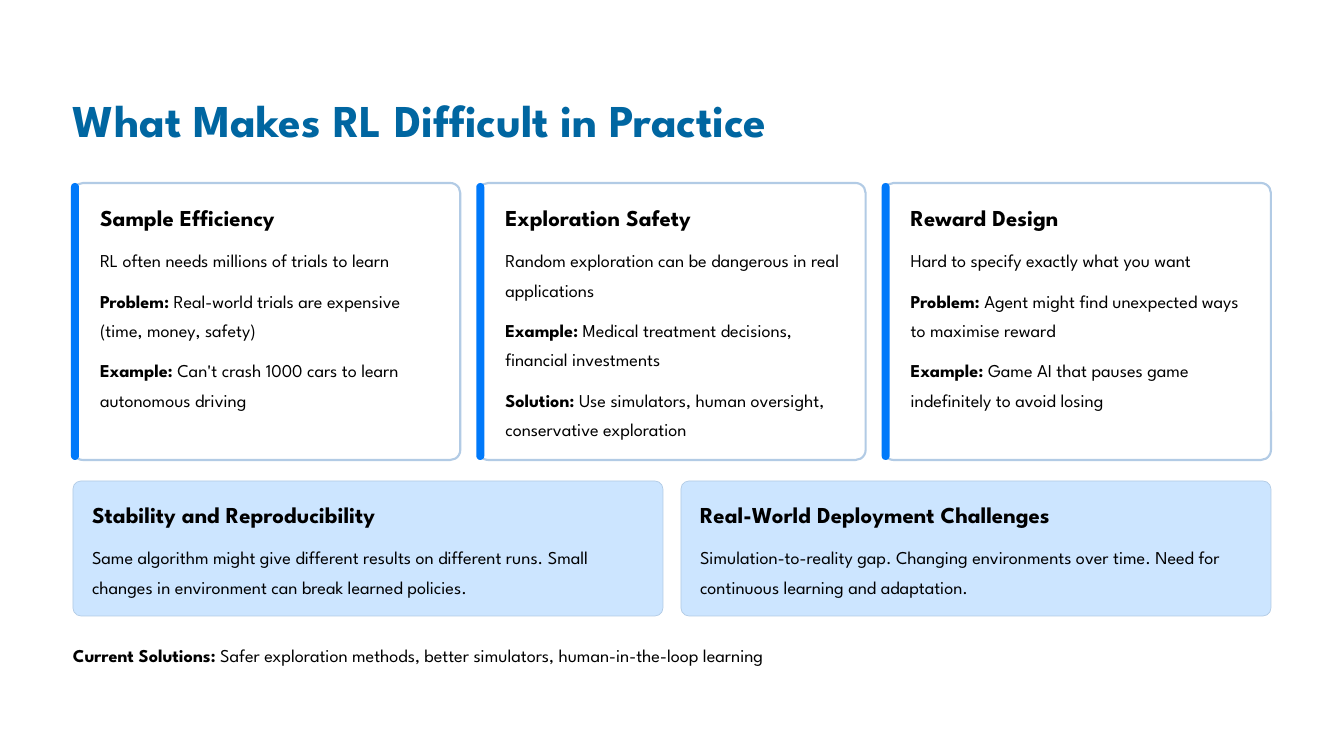
from pptx import Presentation
from pptx.dml.color import RGBColor
from pptx.enum.shapes import MSO_SHAPE as Shape
from pptx.enum.text import MSO_ANCHOR as Anchor, MSO_AUTO_SIZE as AutoSize, PP_ALIGN as Align
from pptx.util import Pt

EMU_PER_PX = 914400 / 84
FONT = "League Spartan"
COLORS = {
    "title": "0066A1",
    "text": "000000",
    "card": "FFFFFF",
    "panel": "CCE5FF",
    "border": "B2CBE5",
    "accent": "0079FA",
}
LEFT, WIDTH, GAP = 73, 1198, 18
RADIUS = 10

CARDS = [
    ("Sample Efficiency", [
        ("", "RL often needs millions of trials to learn"),
        ("Problem:", " Real-world trials are expensive (time, money, safety)"),
        ("Example:", " Can't crash 1000 cars to learn autonomous driving"),
    ]),
    ("Exploration Safety", [
        ("", "Random exploration can be dangerous in real applications"),
        ("Example:", " Medical treatment decisions, financial investments"),
        ("Solution:", " Use simulators, human oversight, conservative exploration"),
    ]),
    ("Reward Design", [
        ("", "Hard to specify exactly what you want"),
        ("Problem:", " Agent might find unexpected ways to maximise reward"),
        ("Example:", " Game AI that pauses game indefinitely to avoid losing"),
    ]),
]
PANELS = [
    ("Stability and Reproducibility", [
        ("", "Same algorithm might give different results on different runs. "
             "Small changes in environment can break learned policies."),
    ]),
    ("Real-World Deployment Challenges", [
        ("", "Simulation-to-reality gap. Changing environments over time. "
             "Need for continuous learning and adaptation."),
    ]),
]
SOLUTIONS = ("Current Solutions:",
             " Safer exploration methods, better simulators, human-in-the-loop learning")


def px(length):
    return round(length * EMU_PER_PX)


def color(name):
    return RGBColor.from_string(COLORS[name])


def columns(count, top, height):
    """Split the content width into equal boxes (left, top, width, height)."""
    width = (WIDTH - GAP * (count - 1)) / count
    return [(LEFT + i * (width + GAP), top, width, height) for i in range(count)]


def add_rounded(page, box, fill, radius, line_width=0):
    shape = page.shapes.add_shape(Shape.ROUNDED_RECTANGLE, *map(px, box))
    shape.adjustments[0] = min(0.5, radius / min(box[2:]))
    shape.shadow.inherit = False
    shape.fill.solid()
    shape.fill.fore_color.rgb = color(fill)
    if line_width:
        shape.line.color.rgb = color("border")
        shape.line.width = Pt(line_width)
    else:
        shape.line.fill.background()


def prepare_frame(frame):
    frame.margin_left = frame.margin_top = frame.margin_right = frame.margin_bottom = 0
    frame.word_wrap = True
    frame.auto_size = AutoSize.NONE
    frame.vertical_anchor = Anchor.TOP


def format_para(para, size, line_height, ink="text"):
    para.alignment = Align.LEFT
    para.line_spacing = Pt(line_height)
    for span in para.runs:
        span.font.name = FONT
        span.font.size = Pt(size)
        span.font.color.rgb = color(ink)


def write_body(para, lead, text):
    """Write a line of body text after an optional bold lead-in."""
    para.text = lead
    for span in para.runs:
        span.font.bold = True
    para.add_run().text = text
    format_para(para, 15.5, 25)


def add_text(page, box):
    frame = page.shapes.add_textbox(*map(px, box)).text_frame
    prepare_frame(frame)
    return frame


def add_section(page, box, heading, lines):
    frame = add_text(page, box)
    para = frame.paragraphs[0]
    para.text = heading
    para.runs[0].font.bold = True
    format_para(para, 19.5, 24)
    for lead, text in lines:
        para = frame.add_paragraph()
        para.space_before = Pt(9.7)
        write_body(para, lead, text)


def add_title(page, box):
    title = page.shapes.title
    title.left, title.top, title.width, title.height = map(px, box)
    frame = title.text_frame
    frame.text = "What Makes RL Difficult in Practice"
    prepare_frame(frame)
    para = frame.paragraphs[0]
    para.runs[0].font.bold = True
    format_para(para, 39, 48.5, "title")


def add_card(page, box, heading, lines):
    left, top, width, height = box
    add_rounded(page, box, "card", RADIUS, 1.8)
    add_rounded(page, (left - 2, top, 8, height), "accent", RADIUS)
    add_section(page, (left + 27, top + 20, width - 47, height - 40), heading, lines)


def add_panel(page, box, heading, lines):
    left, top, width, height = box
    add_rounded(page, box, "panel", 8, 0.6)
    add_section(page, (left + 19, top + 19, width - 38, height - 38), heading, lines)


def main():
    deck = Presentation()
    deck.slide_width, deck.slide_height = px(1344), px(756)
    page = deck.slides.add_slide(deck.slide_layouts[5])

    add_title(page, (LEFT, 90, WIDTH, 57))
    for box, (heading, lines) in zip(columns(3, 183, 277), CARDS):
        add_card(page, box, heading, lines)
    for box, (heading, lines) in zip(columns(2, 481, 135), PANELS):
        add_panel(page, box, heading, lines)
    footer = add_text(page, (LEFT, 637, WIDTH, 29))
    write_body(footer.paragraphs[0], *SOLUTIONS)

    deck.save("out.pptx")


if __name__ == "__main__":
    main()
